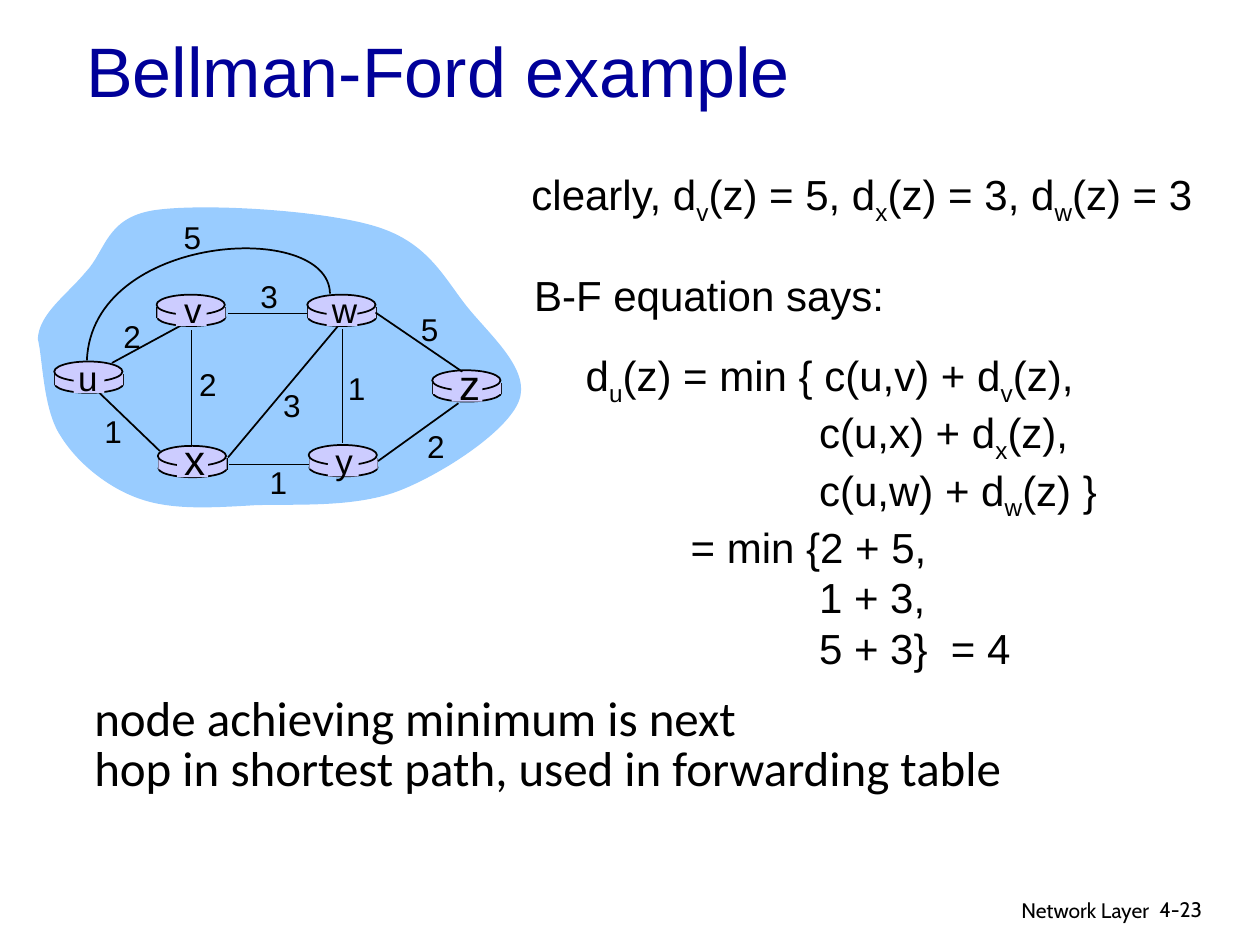
from lxml import etree
from pptx import Presentation
from pptx.dml.color import RGBColor
from pptx.enum import shapes, text
from pptx.oxml import ns
from pptx.util import Pt

BLACK = RGBColor(0x00, 0x00, 0x00)
NAVY = RGBColor(0x00, 0x00, 0x99)
SKY = RGBColor(0x99, 0xCC, 0xFF)
LILAC = RGBColor(0xCC, 0xCC, 0xFF)

OVAL = shapes.MSO_SHAPE.OVAL
RECT = shapes.MSO_SHAPE.RECTANGLE
LEFT, MID, RIGHT = (text.PP_ALIGN.LEFT, text.PP_ALIGN.CENTER,
                    text.PP_ALIGN.RIGHT)
WIDE = 39  # width of a router

# name: router left and top, letter centre, top and size
NODES = {
    "u": (31, 206.6, 50.2, 200.2, 20), "y": (176.4, 254.3, 196.6, 247.7, 20),
    "x": (90.2, 254.8, 111.2, 244.1, 24), "w": (175.6, 168.4, 195.6, 161.3, 20),
    "v": (89.5, 168.4, 110.2, 161.3, 20), "z": (247, 211.6, 268.2, 201.6, 24),
}
EDGES = [
    (195.8, 188, 195.8, 253), (109.4, 188.6, 109.4, 255.6),
    (130.3, 261.4, 193, 186.5), (216, 263.5, 262, 230.4),
    (176.4, 265.5, 131, 265.5), (91.4, 257.8, 56.9, 224.6),
    (175.7, 179.2, 130.3, 179.2), (264.2, 212.4, 214.6, 178.6),
]
# cost, left, top
COSTS = [
    ("2", 63.2, 177.8), ("2", 106.6, 205.2), ("1", 52.4, 231.8),
    ("3", 154.6, 216.9), ("1", 146.9, 261.2), ("1", 191.5, 207.4),
    ("2", 236.9, 240.5), ("5", 233.3, 173.5), ("3", 141.6, 154.8),
    ("5", 97.7, 121),
]
CLOUD = [
    (21.6, 193.7), (22.3, 179.3), (38.2, 168.5), (49, 155.5),
    (60.5, 143.3), (60.5, 124.6), (87.8, 120.2),
    (115.9, 115.9), (185.8, 120.2), (215.3, 129.6),
    (245.5, 139), (254.2, 159.8), (267.8, 176.4),
    (281.5, 193), (303.1, 211.7), (296.6, 229),
    (290.2, 246.2), (254.2, 270), (229, 280.1),
    (203.8, 290.2), (170.6, 288), (146.2, 288.7),
    (121, 290.2), (98.6, 291.6), (79.9, 285.1),
    (61.2, 278.6), (43.9, 264.2), (34.6, 249.1),
    (24.5, 234), (24.5, 205.2), (21.6, 193.7),
]
ARC = [(188.6, 167.8), (187.9, 125.3), (52.6, 133.2), (49.7, 205.9)]
# text, indent
LINES = [
    ("d_u(z) = min { c(u,v) + d_v(z),", 0),
    ("c(u,x) + d_x(z),", 133.4), ("c(u,w) + d_w(z) }", 133.4),
    ("= min {2 + 5,", 60), ("1 + 3,", 133.4), ("5 + 3}  = 4", 133.4),
]


def write(place, lines, x, y, w, h, size=24, face="Arial", color=BLACK,
          align=LEFT, space=None, grow=True, mid=False):
    """Add (text, indent) lines; the letter after "_" is a subscript."""
    box = place.shapes.add_textbox(Pt(x), Pt(y), Pt(w), Pt(h))
    frame = box.text_frame
    frame.word_wrap = not grow
    if grow:
        frame.auto_size = text.MSO_AUTO_SIZE.SHAPE_TO_FIT_TEXT
    if mid:
        frame.vertical_anchor = text.MSO_ANCHOR.MIDDLE
    if isinstance(lines, str):
        lines = [(lines, 0)]
    for i, (line, inset) in enumerate(lines):
        para = frame.add_paragraph() if i else frame.paragraphs[0]
        para.alignment = align
        if space:
            para.line_spacing = space
        if inset:
            props = para._p.get_or_add_pPr()
            props.set("marL", str(Pt(inset)))
            props.set("indent", "0")
        head, *rest = line.split("_")
        parts = [(head, False)]
        for part in rest:
            parts += [(part[0], True), (part[1:], False)]
        for part, low in parts:
            run = para.add_run()
            run.text = part
            font = run.font
            font.size, font.name = Pt(size), face
            font.color.rgb = color
            if low:
                run._r.get_or_add_rPr().set("baseline", "-25000")


def paint(shape, fill=None, line=None):
    shape.shadow.inherit = False
    if fill is None:
        shape.fill.background()
    else:
        shape.fill.solid()
        shape.fill.fore_color.rgb = fill
    if line is None:
        shape.line.fill.background()
    else:
        shape.line.color.rgb = line
        shape.line.width = Pt(1)


def block(place, kind, x, y, w, h, line=None):
    paint(place.shapes.add_shape(kind, Pt(x), Pt(y), Pt(w), Pt(h)),
          LILAC, line)


def rule(place, x1, y1, x2, y2):
    line = place.shapes.add_connector(
        shapes.MSO_CONNECTOR.STRAIGHT, Pt(x1), Pt(y1), Pt(x2), Pt(y2))
    line.line.color.rgb = BLACK
    line.line.width = Pt(1)
    etree.SubElement(line._element.spPr, ns.qn("a:effectLst"))


def curve(place, knots, fill=None, line=None):
    """Draw chained cubic Bezier curves, three knots to each."""
    start, *rest = [(Pt(x), Pt(y)) for x, y in knots]
    pen = place.shapes.build_freeform(*start)
    pen.add_line_segments(rest, close=fill is not None)
    shape = pen.convert_to_shape()
    legs = list(shape._element.iter(ns.qn("a:lnTo")))
    for i in range(0, len(knots) - 1, 3):
        bend = etree.Element(ns.qn("a:cubicBezTo"))
        legs[i].addprevious(bend)
        for leg in legs[i:i + 3]:
            bend.append(leg[0])
            leg.getparent().remove(leg)
    paint(shape, fill, line)


def router(place, x, y):
    block(place, OVAL, x + 0.4, y + 7.9, WIDE, 10, BLACK)
    for side in (x + 0.4, x + 0.4 + WIDE):
        rule(place, side, y + 7.2, side, y + 13.5)
    block(place, RECT, x + 0.4, y + 7.2, WIDE, 6.3)
    block(place, OVAL, x, y, WIDE, 11.5, BLACK)


def graph(slide):
    net = slide.shapes.add_group_shape()
    curve(net, CLOUD, fill=SKY)
    rule(net, 64, 207.4, 106.6, 184.3)
    for x, y, *_ in NODES.values():
        router(net, x, y)
    for edge in EDGES:
        rule(net, *edge)
    curve(net, ARC, line=BLACK)
    for name, (x, y, centre, top, size) in NODES.items():
        block(net, RECT, x + 11, y + 1.4, 17.6, 16.5)
        write(net, name, centre - 13, top, 26, size * 1.2 + 7.2,
              size=size, align=MID)
    for cost, x, y in COSTS:
        write(net, cost, x, y, 24.5, 28.8, size=18, align=MID)


def main():
    deck = Presentation()
    deck.slide_width, deck.slide_height = Pt(720), Pt(540)
    slide = deck.slides.add_slide(deck.slide_layouts[6])
    write(slide, "Network Layer", 435.6, 509.2, 228.2, 22.3, size=12,
          face="Cabin", align=RIGHT, grow=False)
    write(slide, "4-23", 655.4, 509, 53.3, 21.6, size=12,
          face="Cabin", grow=False)
    write(slide, "Bellman-Ford example", 42.2, 13.7, 612, 52.6, size=40,
          color=NAVY, grow=False, mid=True)
    graph(slide)
    write(slide, "clearly, d_v(z) = 5, d_x(z) = 3, d_w(z) = 3",
          296.6, 92.9, 397.4, 36)
    write(slide, LINES, 327.6, 196.2, 307.4, 180)
    write(slide, [("node achieving minimum is next", 0),
                  ("hop in shortest path, used in forwarding table", 0)],
          46.8, 394.6, 532.8, 64.8, size=28, face="Calibri", space=0.85)
    write(slide, "B-F equation says:", 298.1, 150.5, 214.6, 36)
    deck.save("out.pptx")


if __name__ == "__main__":
    main()
